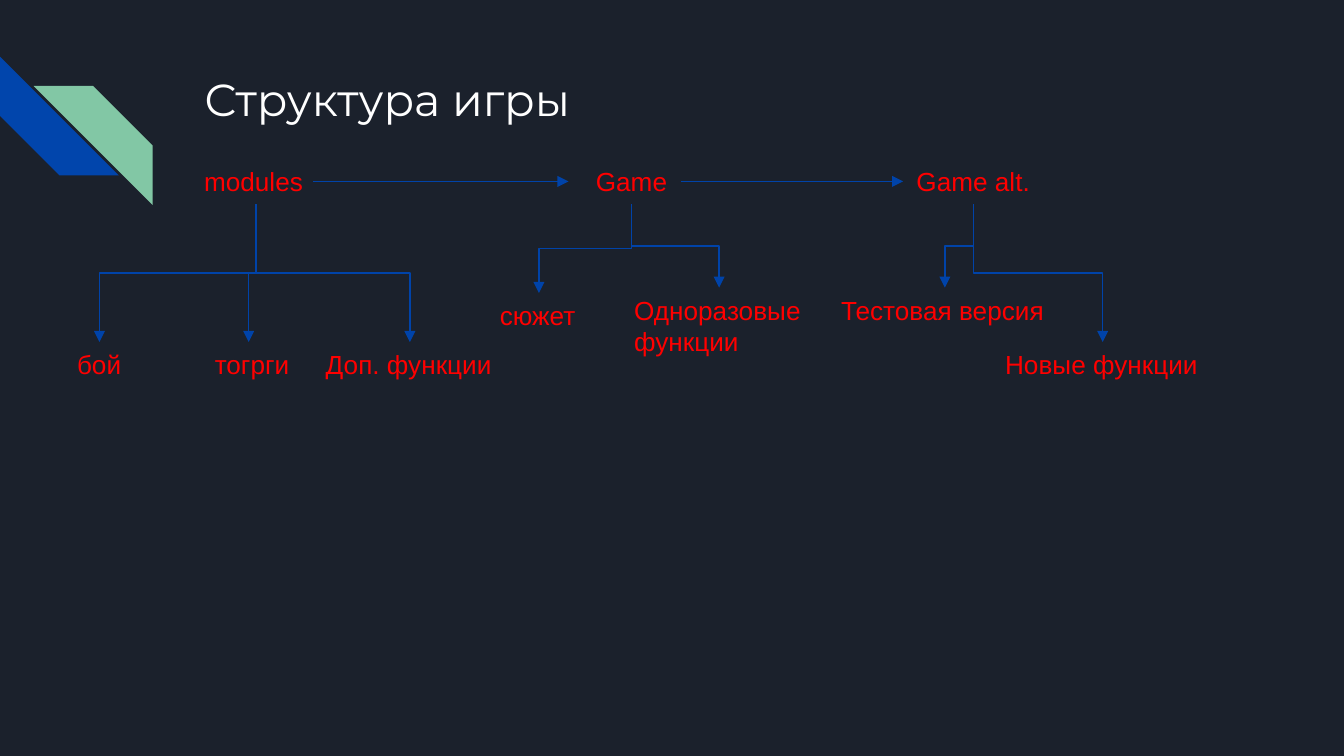
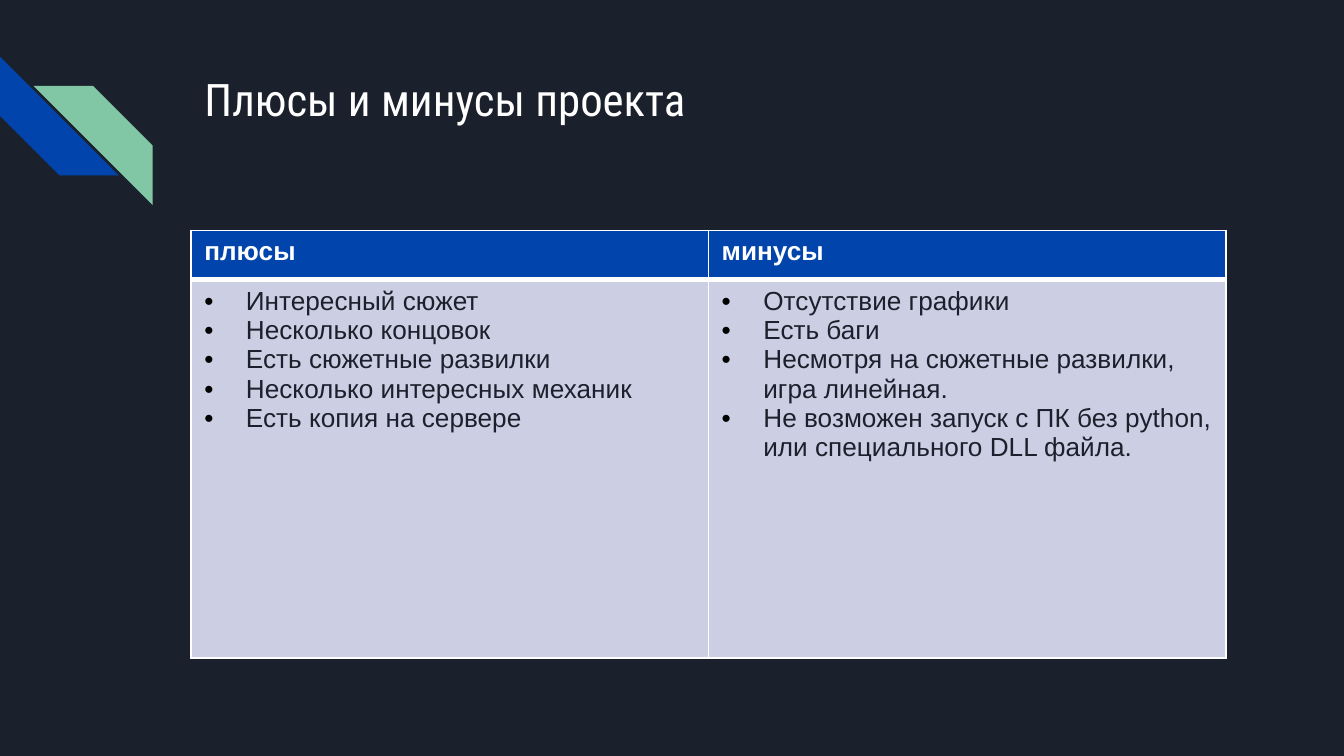
from lxml.etree import SubElement
from pptx import Presentation
from pptx.dml.color import RGBColor
from pptx.enum.shapes import MSO_CONNECTOR, MSO_SHAPE
from pptx.enum.text import MSO_ANCHOR, MSO_AUTO_SIZE, PP_ALIGN
from pptx.oxml import parse_xml
from pptx.oxml.ns import nsdecls, qn
from pptx.util import Inches, Pt

COLORS = {
    "night": "1B212C",
    "blue": "0145AC",
    "line": "0043A9",
    "green": "82C7A5",
    "white": "FFFFFF",
    "red": "FF0000",
    "lavender": "CCCFE3",
    "bullet": "000000",
}
COLUMNS, ROWS = 100, 56.25
SLIDE_WIDTH = Inches(10)
SLIDE_HEIGHT = SLIDE_WIDTH * 9 // 16
BODY_FONT = "Arial"
BODY_SIZE = 14
LEFT_EDGE, CONTENT_WIDTH = 14.2, 77
LINE_HEIGHT = 3.4
BULLET_INDENT = 3.1

TOP_ROW, MIDDLE_ROW, BOTTOM_ROW = 11.8, 21.4, 25.45
NODES = [
    ("modules", 14.2, TOP_ROW, 9.7),
    ("Game", 43.35, TOP_ROW, 7.3),
    ("Game alt.", 67.2, TOP_ROW, 10.5),
    ("бой", 4.75, BOTTOM_ROW, 5.3),
    ("тогрги", 15, BOTTOM_ROW, 7.6),
    ("Доп. функции", 23.25, BOTTOM_ROW, 14.5),
    ("сюжет", 36.2, 21.8, 7.8),
    ("Одноразовые\nфункции", 46.2, MIDDLE_ROW, 14.6),
    ("Тестовая версия", 61.6, MIDDLE_ROW, 17.4),
    ("Новые функции", 73.8, BOTTOM_ROW, 16.5),
]
BRANCHES = {
    "modules": ["бой", "тогрги", "Доп. функции"],
    "Game": ["сюжет", "Одноразовые\nфункции"],
    "Game alt.": ["Тестовая версия", "Новые функции"],
}
PROS_AND_CONS = {
    "плюсы": [
        "Интересный сюжет",
        "Несколько концовок",
        "Есть сюжетные развилки",
        "Несколько интересных механик",
        "Есть копия на сервере",
    ],
    "минусы": [
        "Отсутствие графики",
        "Есть баги",
        "Несмотря на сюжетные развилки, игра линейная.",
        "Не возможен запуск с ПК без python, или специального DLL файла.",
    ],
}


def across(columns):
    return round(SLIDE_WIDTH * columns / COLUMNS)


def down(rows):
    return round(SLIDE_HEIGHT * rows / ROWS)


def color(name):
    return RGBColor.from_string(COLORS[name])


def format_text(frame, color_name, font=BODY_FONT, size=BODY_SIZE, bold=False):
    for para in frame.paragraphs:
        para.alignment = PP_ALIGN.LEFT
        for span in para.runs:
            span.font.name = font
            span.font.size = Pt(size)
            span.font.bold = bold
            span.font.color.rgb = color(color_name)


def add_stripe(page, left, top, rotation, color_name):
    stripe = page.shapes.add_shape(
        MSO_SHAPE.DIAGONAL_STRIPE, across(left), down(top), across(8.85), down(8.85))
    stripe.rotation = rotation
    stripe.shadow.inherit = False
    stripe.fill.solid()
    stripe.fill.fore_color.rgb = color(color_name)
    stripe.line.fill.background()


def add_page(deck, title_text, title_font):
    page = deck.slides.add_slide(deck.slide_layouts[5])
    add_stripe(page, 0, 4.2, 270, "blue")
    add_stripe(page, 2.5, 6.4, 90, "green")
    title = page.shapes.title
    title.left, title.top = across(LEFT_EDGE), down(4.35)
    title.width, title.height = across(CONTENT_WIDTH), down(10)
    frame = title.text_frame
    frame.text = title_text
    frame.word_wrap = True
    frame.auto_size = MSO_AUTO_SIZE.NONE
    frame.vertical_anchor = MSO_ANCHOR.TOP
    frame.margin_left = frame.margin_right = Inches(0.1)
    frame.margin_top = frame.margin_bottom = Inches(0.1)
    format_text(frame, "white", title_font, 24)
    return page


def add_node(page, label, left, top, width):
    height = LINE_HEIGHT + 2.3 * label.count("\n")
    box = page.shapes.add_textbox(across(left), down(top), across(width), down(height))
    frame = box.text_frame
    frame.text = label
    frame.word_wrap = False
    frame.auto_size = MSO_AUTO_SIZE.SHAPE_TO_FIT_TEXT
    format_text(frame, "red")
    return box


def style_arrow(arrow):
    arrow.line.color.rgb = color("line")
    arrow.line.width = Pt(0.75)
    outline = arrow._element.spPr.find(qn("a:ln"))
    SubElement(outline, qn("a:tailEnd"), type="triangle")
    SubElement(arrow._element.spPr, qn("a:effectLst"))


def add_straight_arrow(page, start, end):
    middle = down(TOP_ROW + LINE_HEIGHT / 2)
    arrow = page.shapes.add_connector(
        MSO_CONNECTOR.STRAIGHT, across(start), middle, across(end), middle)
    style_arrow(arrow)
    return arrow


def add_branch(page, parent, child, shift=0):
    start_x = parent.left + parent.width // 2
    start_y = parent.top + parent.height
    end_x = child.left + child.width // 2 + shift
    middle_x, middle_y = (start_x + end_x) // 2, (start_y + child.top) // 2
    half_run = (child.top - start_y) // 2
    half_spread = abs(end_x - start_x) // 2
    arrow = page.shapes.add_connector(
        MSO_CONNECTOR.ELBOW,
        middle_x - half_run, middle_y - half_spread,
        middle_x + half_run, middle_y + half_spread)
    frame = arrow._element.spPr.find(qn("a:xfrm"))
    if end_x > start_x:
        frame.set("rot", "16200000")
        frame.set("flipH", "1")
    else:
        frame.set("rot", "5400000")
    style_arrow(arrow)


def set_borders(cell, **widths):
    properties = cell._tc.get_or_add_tcPr()
    for position, side in enumerate("LRTB"):
        border = parse_xml(
            f'<a:ln{side} {nsdecls("a")} w="{Pt(widths.get(side, 1))}"><a:solidFill>'
            f'<a:srgbClr val="{COLORS["white"]}"/></a:solidFill></a:ln{side}>')
        properties.insert(position, border)


def set_bullet(para):
    properties = para._p.get_or_add_pPr()
    indent = across(BULLET_INDENT)
    properties.set("marL", str(indent))
    properties.set("indent", str(-indent))
    bullet_color = SubElement(properties, qn("a:buClr"))
    SubElement(bullet_color, qn("a:srgbClr"), val=COLORS["bullet"])
    SubElement(properties, qn("a:buFont"), typeface=BODY_FONT)
    SubElement(properties, qn("a:buChar"), char="•")


def fill_cell(cell, text, fill_name, text_color, bold=False):
    cell.text_frame.text = text
    format_text(cell.text_frame, text_color, bold=bold)
    cell.fill.solid()
    cell.fill.fore_color.rgb = color(fill_name)


def add_comparison(page, groups):
    heights = [3.65, 28.15]
    table = page.shapes.add_table(
        2, len(groups), across(LEFT_EDGE), down(17.15),
        across(CONTENT_WIDTH), down(sum(heights))).table
    for row, height in zip(table.rows, heights):
        row.height = down(height)
    for column, (heading, points) in enumerate(groups.items()):
        table.columns[column].width = across(CONTENT_WIDTH / len(groups))
        header, body = table.cell(0, column), table.cell(1, column)
        fill_cell(header, heading, "blue", "white", bold=True)
        set_borders(header, B=3)
        fill_cell(body, "\n".join(points), "lavender", "night")
        set_borders(body, T=3)
        for para in body.text_frame.paragraphs:
            set_bullet(para)


def build_structure(deck):
    page = add_page(deck, "Структура игры", "Montserrat")
    boxes = {node[0]: add_node(page, *node) for node in NODES}
    add_straight_arrow(page, 23.3, 42.3)
    link = add_straight_arrow(page, 50.65, 67.2)
    link.begin_connect(boxes["Game"], 3)
    link.end_connect(boxes["Game alt."], 1)
    shifts = {"тогрги": across(-0.3)}
    for parent, children in BRANCHES.items():
        for child in children:
            add_branch(page, boxes[parent], boxes[child], shifts.get(child, 0))


def build_comparison(deck):
    page = add_page(deck, "Плюсы и минусы проекта", "Roboto Condensed")
    add_comparison(page, PROS_AND_CONS)


def main():
    deck = Presentation()
    deck.slide_width, deck.slide_height = SLIDE_WIDTH, SLIDE_HEIGHT
    background = deck.slide_master.background.fill
    background.solid()
    background.fore_color.rgb = color("night")
    build_structure(deck)
    build_comparison(deck)
    deck.save("out.pptx")


if __name__ == "__main__":
    main()
